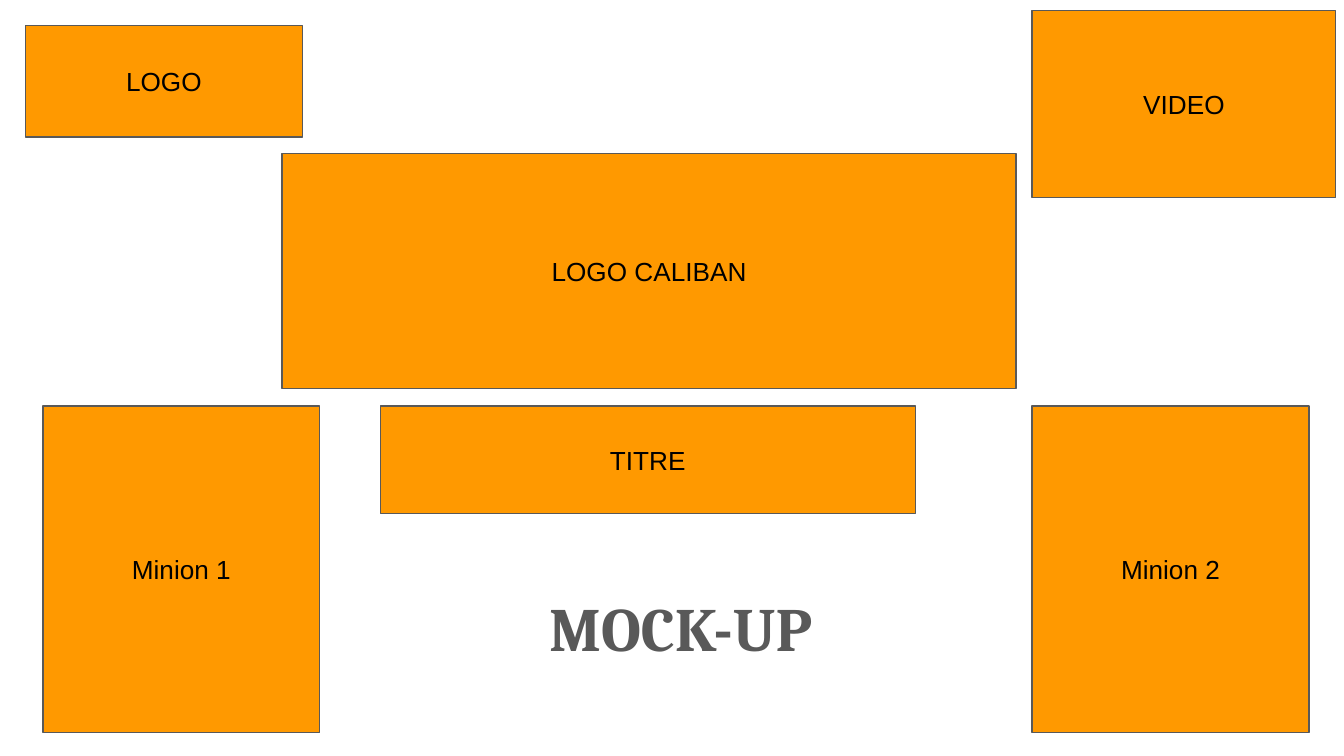
from pptx import Presentation
from pptx.dml.color import RGBColor
from pptx.enum.shapes import MSO_SHAPE
from pptx.enum.text import MSO_ANCHOR, PP_ALIGN
from pptx.util import Inches, Pt

ORANGE = RGBColor(0xFF, 0x99, 0x00)
GREY = RGBColor(0x59, 0x59, 0x59)
BLACK = RGBColor(0x00, 0x00, 0x00)

RIGHT_X = 7.68
LOWER_Y = 3.02
MINION_SIZE = (2.06, 2.43)

BLOCKS = [
    ("VIDEO", RIGHT_X, 0.08, 2.26, 1.39),
    ("LOGO", 0.19, 0.19, 2.06, 0.83),
    ("Minion 1", 0.32, LOWER_Y, *MINION_SIZE),
    ("Minion 2", RIGHT_X, LOWER_Y, *MINION_SIZE),
    ("TITRE", 2.83, LOWER_Y, 3.98, 0.8),
    ("LOGO CALIBAN", 2.1, 1.14, 5.46, 1.75),
]


def write_text(sp, text, font="Arial", size=14, color=BLACK, bold=False,
               anchor=MSO_ANCHOR.MIDDLE):
    tf = sp.text_frame
    tf.word_wrap = True
    tf.vertical_anchor = anchor
    tf.margin_left = tf.margin_right = Inches(0.1)
    tf.margin_top = tf.margin_bottom = Inches(0.1)
    p = tf.paragraphs[0]
    p.alignment = PP_ALIGN.CENTER
    r = p.add_run()
    r.text = text
    r.font.name = font
    r.font.size = Pt(size)
    r.font.bold = bold
    r.font.color.rgb = color


class Wireframe:
    """Holds the current slide and the style of its blocks."""

    fill = ORANGE
    line = GREY
    line_width = Pt(0.75)

    def __init__(self, slide):
        self.slide = slide

    def block(self, text, *box):
        sp = self.slide.shapes.add_shape(MSO_SHAPE.RECTANGLE, *map(Inches, box))
        sp.shadow.inherit = False
        sp.fill.solid()
        sp.fill.fore_color.rgb = self.fill
        sp.line.color.rgb = self.line
        sp.line.width = self.line_width
        write_text(sp, text)

    def caption(self, text, *box):
        sp = self.slide.shapes.add_textbox(*map(Inches, box))
        write_text(sp, text, font="Cambria", size=33, color=GREY, bold=True,
                   anchor=MSO_ANCHOR.TOP)


def main():
    prs = Presentation()
    prs.slide_width = Inches(10)
    prs.slide_height = prs.slide_width * 9 // 16
    s = prs.slides.add_slide(prs.slide_layouts[6])

    wireframe = Wireframe(s)
    for block in BLOCKS:
        wireframe.block(*block)
    wireframe.caption("MOCK-UP", 2.7, 4.29, 4.73, 0.87)

    prs.save("out.pptx")


if __name__ == "__main__":
    main()
